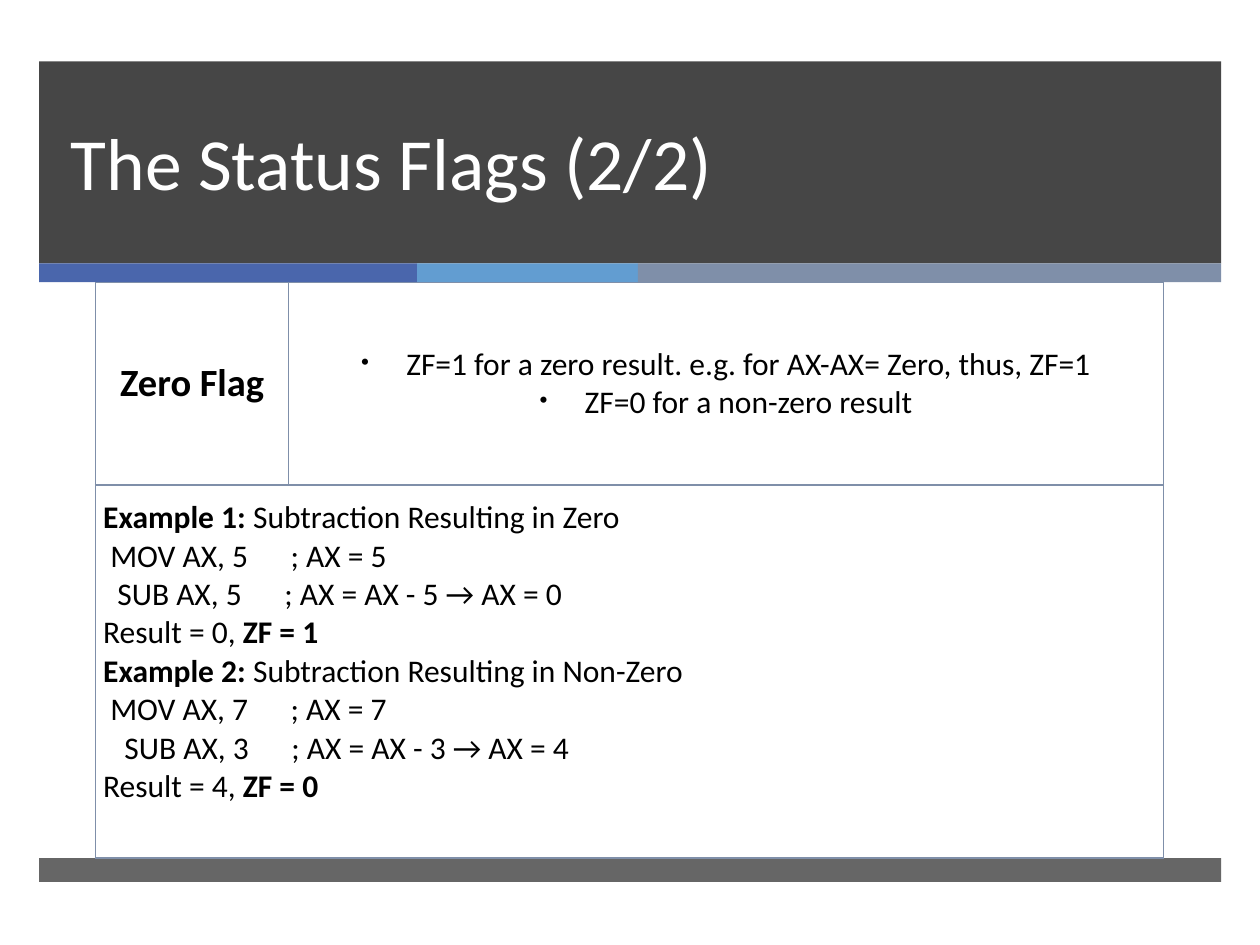
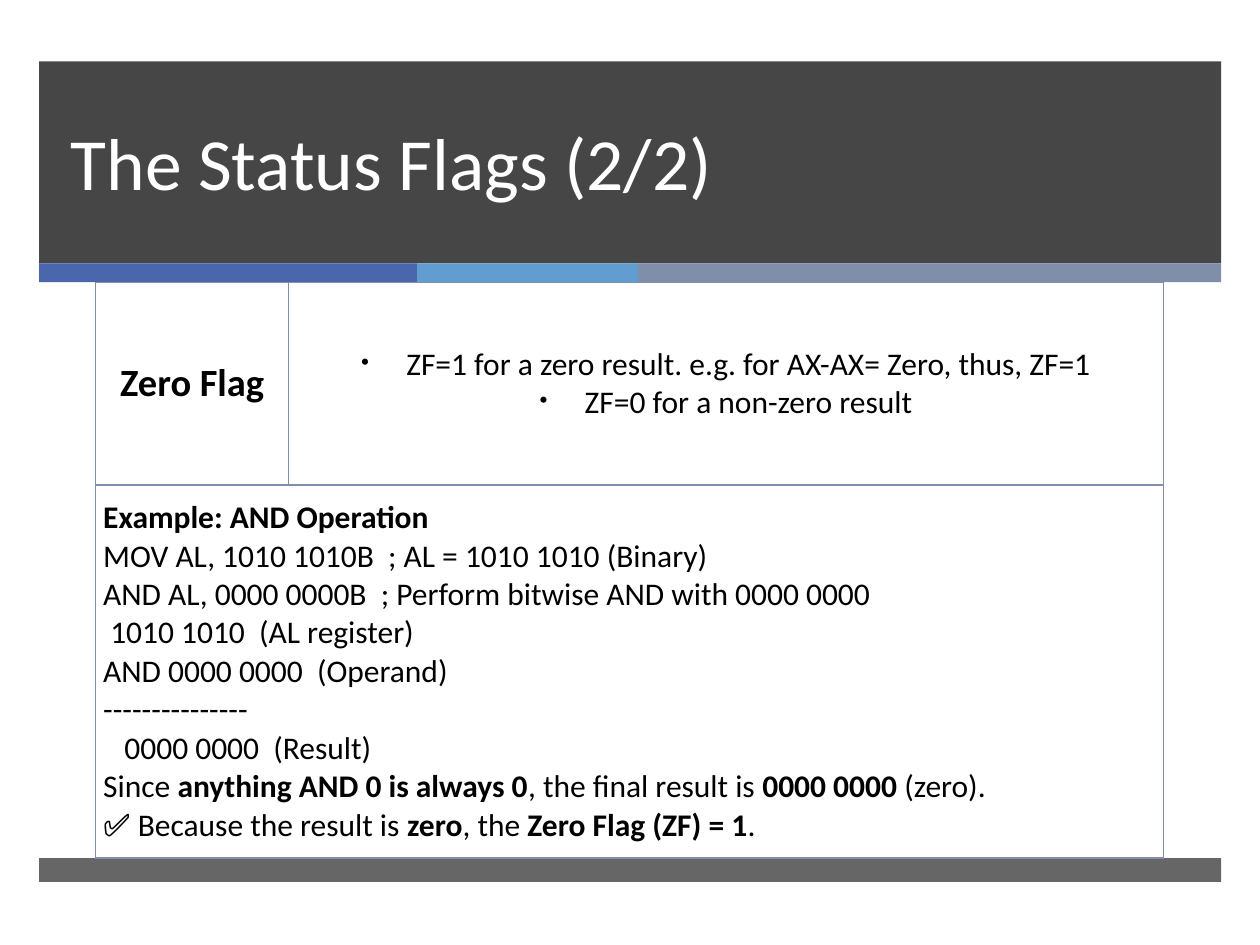
from lxml import etree
from pptx import Presentation
from pptx import util as u
from pptx.dml.color import RGBColor
from pptx.enum import shapes, text
from pptx.oxml import ns

FONT = "Calibri"
WHITE = RGBColor(0xFF, 0xFF, 0xFF)
BLACK = RGBColor(0x00, 0x00, 0x00)
CHARCOAL = RGBColor(0x26, 0x26, 0x26)
INDIGO = RGBColor(0x4A, 0x66, 0xAC)
SKY = RGBColor(0x62, 0x9D, 0xD1)
SLATE = RGBColor(0x7F, 0x8F, 0xA9)

# left, top, width, height in cm, colour, opacity in percent
BANDS = [
    (0.79, 1.24, 23.83, 4.07, CHARCOAL, 85),
    (0.79, 5.31, 7.62, 0.38, INDIGO, 100),
    (8.41, 5.31, 4.45, 0.38, SKY, 100),
    (12.86, 5.31, 11.76, 0.38, SLATE, 100),
    (0.79, 17.3, 23.83, 0.48, CHARCOAL, 70),
]
TITLE = "The Status Flags (2/2)"
FLAG_RULES = [
    "ZF=1 for a zero result. e.g. for AX-AX= Zero, thus, ZF=1",
    "ZF=0 for a non-zero result",
]
EXAMPLES = [
    [
        "**Example 1: **Subtraction Resulting in Zero",
        " MOV AX, 5      ; AX = 5",
        "  SUB AX, 5      ; AX = AX - 5 → AX = 0",
        "Result = 0, **ZF = 1**",
        "**Example 2: **Subtraction Resulting in Non-Zero",
        " MOV AX, 7      ; AX = 7",
        "   SUB AX, 3      ; AX = AX - 3 → AX = 4",
        "Result = 4, **ZF = 0**",
    ],
    [
        "**Example: AND Operation**",
        "MOV AL, 1010 1010B  ; AL = 1010 1010 (Binary)",
        "AND AL, 0000 0000B  ; Perform bitwise AND with 0000 0000",
        " 1010 1010  (AL register)",
        "AND 0000 0000  (Operand)",
        "---------------",
        "   0000 0000  (Result)",
        "Since **anything AND 0 is always 0**, the final result is **0000 0000** (zero).",
        "✅ Because the result is **zero**, the **Zero Flag (ZF) = 1**.",
    ],
]


def write(frame, lines, size=18, color=BLACK, align=text.PP_ALIGN.LEFT,
          bullet=None, line_spacing=None):
    """Write one paragraph per line; text between ** marks is bold."""
    for number, line in enumerate(lines):
        paragraph = frame.add_paragraph() if number else frame.paragraphs[0]
        paragraph.alignment = align
        paragraph.line_spacing = line_spacing
        if bullet:
            properties = paragraph._p.get_or_add_pPr()
            indent = u.Cm(0.91)
            properties.set("marL", str(indent))
            properties.set("indent", str(-indent))
            etree.SubElement(properties, ns.qn("a:buSzPct"), val="75000")
            etree.SubElement(properties, ns.qn("a:buChar"), char=bullet)
        for position, piece in enumerate(line.split("**")):
            if piece:
                run = paragraph.add_run()
                run.text = piece
                run.font.name = FONT
                run.font.size = u.Pt(size)
                run.font.bold = position % 2 == 1
                run.font.color.rgb = color


def outline_cell(cell, color):
    properties = cell._tc.get_or_add_tcPr()
    for side in ("lnL", "lnR", "lnT", "lnB"):
        line = etree.SubElement(properties, ns.qn(f"a:{side}"), w=str(u.Pt(1)))
        fill = etree.SubElement(line, ns.qn("a:solidFill"))
        etree.SubElement(fill, ns.qn("a:srgbClr"), val=str(color))


presentation = Presentation()
presentation.slide_width = u.Cm(25.4)
presentation.slide_height = u.Cm(19.05)
layout = presentation.slide_layouts[5]
slides = [presentation.slides.add_slide(layout) for _ in EXAMPLES]

# The bands belong to the layout, behind its placeholders
for index, (left, top, width, height, color, opacity) in enumerate(BANDS):
    band = slides[0].shapes.add_shape(
        shapes.MSO_SHAPE.RECTANGLE, u.Cm(left), u.Cm(top), u.Cm(width), u.Cm(height))
    band.shadow.inherit = False
    band.line.fill.background()
    band.fill.solid()
    band.fill.fore_color.rgb = color
    if opacity < 100:
        fill_color = band.element.find(".//" + ns.qn("a:srgbClr"))
        etree.SubElement(fill_color, ns.qn("a:alpha"), val=str(opacity * 1000))
    layout.shapes.element.insert(2 + index, band.element)

for slide, example in zip(slides, EXAMPLES):
    title = slide.shapes.title
    title.left, title.top = u.Cm(1.17), u.Cm(1.24)
    title.width, title.height = u.Cm(21.69), u.Cm(3.02)
    title.text_frame.auto_size = text.MSO_AUTO_SIZE.NONE
    title.text_frame.vertical_anchor = text.MSO_ANCHOR.BOTTOM
    write(title.text_frame, [TITLE], size=42, color=WHITE, line_spacing=u.Pt(46))

    table = slide.shapes.add_table(
        2, 2, u.Cm(1.93), u.Cm(5.69), u.Cm(21.52), u.Cm(11.61)).table
    table.first_row = table.horz_banding = False
    table.columns[0].width, table.columns[1].width = u.Cm(3.89), u.Cm(17.63)
    table.rows[0].height, table.rows[1].height = u.Cm(4.09), u.Cm(7.52)
    for cell in table.iter_cells():
        outline_cell(cell, SLATE)
        cell.fill.background()
        cell.vertical_anchor = text.MSO_ANCHOR.MIDDLE
        cell.margin_left = cell.margin_right = u.Cm(0.15)
        cell.margin_top = cell.margin_bottom = u.Cm(0.15)

    flag_name, flag_rules = table.cell(0, 0), table.cell(0, 1)
    write(flag_name.text_frame, ["**Zero Flag**"], size=22, align=text.PP_ALIGN.CENTER)
    write(flag_rules.text_frame, FLAG_RULES, align=text.PP_ALIGN.CENTER, bullet="•")

    example_cell = table.cell(1, 0)
    example_cell.merge(table.cell(1, 1))
    example_cell.vertical_anchor = text.MSO_ANCHOR.TOP
    example_cell.margin_top = u.Cm(0.27)
    write(example_cell.text_frame, example)

presentation.save("out.pptx")
